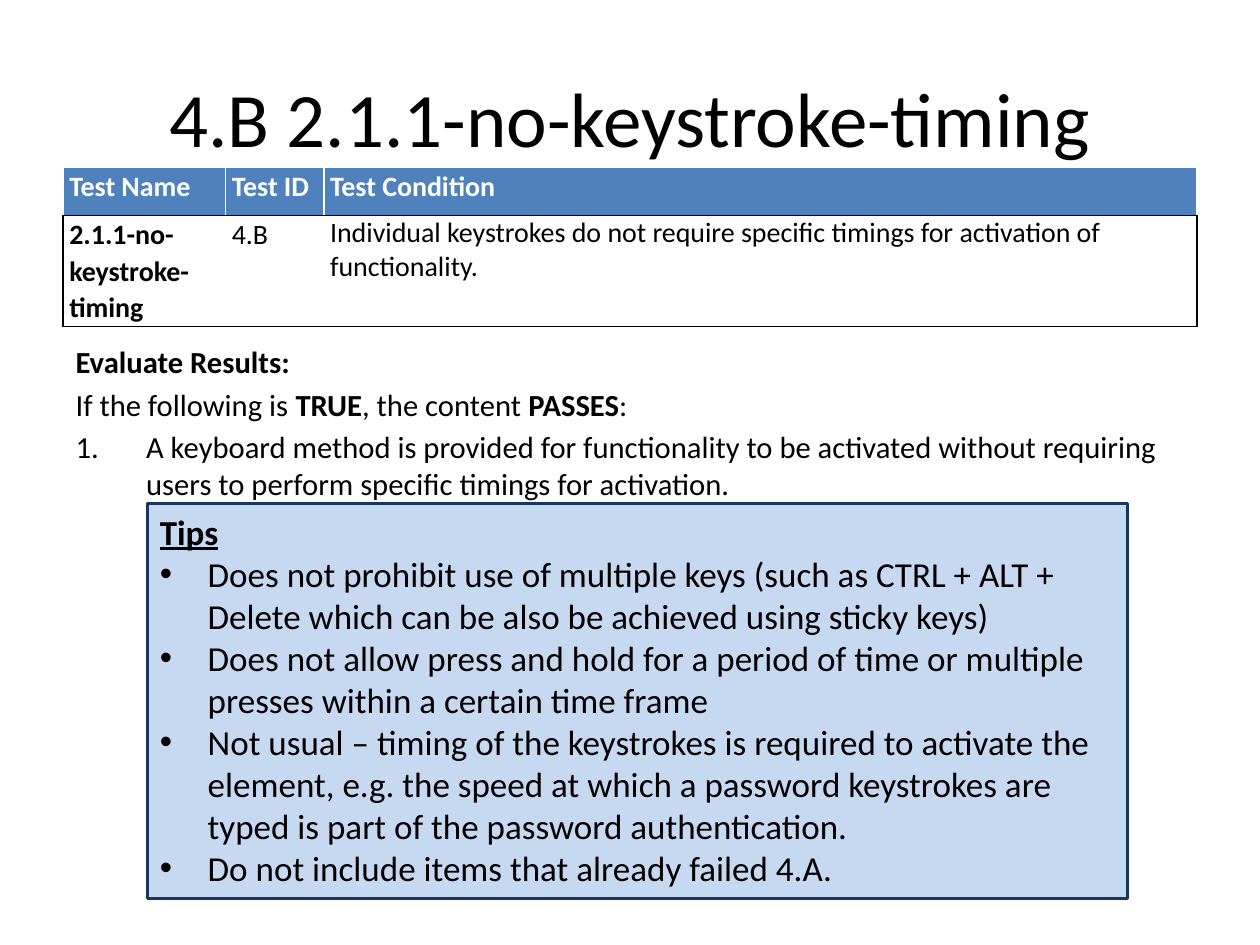
from dataclasses import dataclass

from lxml.etree import SubElement
from pptx import Presentation
from pptx.dml.color import RGBColor
from pptx.enum.shapes import MSO_SHAPE
from pptx.enum.text import MSO_ANCHOR, MSO_AUTO_SIZE, PP_ALIGN
from pptx.oxml.ns import qn
from pptx.util import Inches, Pt

BLACK = RGBColor(0, 0, 0)
WHITE = RGBColor(255, 255, 255)
HEADER_BLUE = RGBColor(0x4F, 0x81, 0xBD)
TIP_FILL = RGBColor(0xC6, 0xD9, 0xF1)
TIP_LINE = RGBColor(0x17, 0x37, 0x5E)
FONT = "Calibri"


@dataclass
class Run:
    text: str
    bold: bool = False
    underline: bool = False


@dataclass
class Cell:
    run: Run
    color: RGBColor
    fill: RGBColor | None
    borders: tuple[RGBColor, ...]  # left, right, top, bottom
    spacing: float | None = 1.07


def add_runs(p, runs: list[Run], size: float, color: RGBColor = BLACK) -> None:
    for run in runs:
        r = p.add_run()
        r.text = run.text
        r.font.name = FONT
        r.font.size = Pt(size)
        r.font.bold = run.bold
        r.font.underline = run.underline
        r.font.color.rgb = color


def next_paragraph(tf, index: int):
    return tf.add_paragraph() if index else tf.paragraphs[0]


def set_bullet(p, indent: float, tag: str, **attrs: str) -> None:
    """Give a paragraph a hanging indent and a bullet element."""
    pPr = p._p.get_or_add_pPr()
    pPr.set("marL", str(Inches(indent)))
    pPr.set("indent", str(-Inches(indent)))
    if tag == "a:buChar":
        SubElement(pPr, qn("a:buFont"), typeface="Arial")
    SubElement(pPr, qn(tag), **attrs)


def place(sp, left: float, top: float, width: float, height: float) -> None:
    sp.left, sp.top = Inches(left), Inches(top)
    sp.width, sp.height = Inches(width), Inches(height)


def fill_cell(cell, data: Cell) -> None:
    cell.margin_left = cell.margin_right = Inches(0.05)
    cell.margin_top = cell.margin_bottom = 0
    tcPr = cell._tc.get_or_add_tcPr()
    for side, color in zip("LRTB", data.borders):
        ln = SubElement(tcPr, qn(f"a:ln{side}"), w=str(Pt(1)))
        SubElement(SubElement(ln, qn("a:solidFill")), qn("a:srgbClr"), val=str(color))
    if data.fill is None:
        cell.fill.background()
    else:
        cell.fill.solid()
        cell.fill.fore_color.rgb = data.fill
    p = cell.text_frame.paragraphs[0]
    p.line_spacing = data.spacing
    add_runs(p, [data.run], 16, data.color)


def add_title(s) -> None:
    sp = s.shapes.title
    place(sp, 0.5, 0.3, 9, 1.25)
    tf = sp.text_frame
    tf.auto_size = MSO_AUTO_SIZE.NONE
    tf.vertical_anchor = MSO_ANCHOR.MIDDLE
    p = tf.paragraphs[0]
    p.alignment = PP_ALIGN.CENTER
    add_runs(p, [Run("4.B 2.1.1-no-keystroke-timing")], 44)


def add_test_table(s) -> None:
    header_borders = (WHITE, WHITE, WHITE, BLACK)
    rows = [
        [Cell(Run(text, bold=True), WHITE, HEADER_BLUE, header_borders)
         for text in ("Test Name", "Test ID", "Test Condition")],
        [
            Cell(Run("2.1.1-no-keystroke-timing", bold=True), BLACK, None,
                 (BLACK, WHITE, BLACK, BLACK)),
            Cell(Run("4.B"), BLACK, None, (WHITE, WHITE, BLACK, BLACK)),
            Cell(Run("Individual keystrokes do not require specific timings "
                     "for activation of functionality."), BLACK, None,
                 (WHITE, BLACK, BLACK, BLACK), spacing=None),
        ],
    ]
    table = s.shapes.add_table(2, 3, Inches(0.5), Inches(1.33),
                               Inches(9), Inches(1.26)).table
    for column, width in zip(table.columns, (1.29, 0.78, 6.93)):
        column.width = Inches(width)
    for row, height, cells in zip(table.rows, (0.38, 0.88), rows):
        row.height = Inches(height)
        for cell, data in zip(row.cells, cells):
            fill_cell(cell, data)


def add_evaluation(s) -> None:
    sp = s.placeholders[1]
    place(sp, 0.5, 2.67, 9.08, 1.25)
    tf = sp.text_frame
    tf.auto_size = MSO_AUTO_SIZE.NONE
    paragraphs = [
        [Run("Evaluate Results:", bold=True)],
        [Run("If the following is "), Run("TRUE", bold=True),
         Run(", the content "), Run("PASSES", bold=True), Run(":")],
        [Run("A keyboard method is provided for functionality to be activated "
             "without requiring users to perform specific timings for activation.")],
    ]
    for i, runs in enumerate(paragraphs):
        p = next_paragraph(tf, i)
        add_runs(p, runs, 17.5)
        if runs is paragraphs[-1]:
            set_bullet(p, 0.56, "a:buAutoNum", type="arabicPeriod")
        else:
            set_bullet(p, 0, "a:buNone")


def add_tips(s) -> None:
    sp = s.shapes.add_shape(MSO_SHAPE.RECTANGLE, Inches(1.17), Inches(4),
                            Inches(7.78), Inches(3.13))
    sp.shadow.inherit = False
    sp.fill.solid()
    sp.fill.fore_color.rgb = TIP_FILL
    sp.line.color.rgb = TIP_LINE
    sp.line.width = Pt(1.75)
    tf = sp.text_frame
    tf.word_wrap = True
    tf.auto_size = MSO_AUTO_SIZE.SHAPE_TO_FIT_TEXT
    tf.vertical_anchor = MSO_ANCHOR.TOP
    tips = [
        "Does not prohibit use of multiple keys (such as CTRL + ALT + Delete "
        "which can be also be achieved using sticky keys)",
        "Does not allow press and hold for a period of time or multiple presses "
        "within a certain time frame",
        "Not usual – timing of the keystrokes is required to activate the element, "
        "e.g. the speed at which a password keystrokes are typed is part of the "
        "password authentication.",
        "Do not include items that already failed 4.A.",
    ]
    heading = tf.paragraphs[0]
    heading.alignment = PP_ALIGN.LEFT
    heading.space_before = Pt(12)
    add_runs(heading, [Run("Tips", bold=True, underline=True)], 20)
    for tip in tips:
        p = tf.add_paragraph()
        p.alignment = PP_ALIGN.LEFT
        set_bullet(p, 0.38, "a:buChar", char="•")
        add_runs(p, [Run(tip)], 20)


def main() -> None:
    prs = Presentation()
    prs.slide_width, prs.slide_height = Inches(10), Inches(7.5)
    s = prs.slides.add_slide(prs.slide_layouts[1])
    add_title(s)
    add_test_table(s)
    add_evaluation(s)
    add_tips(s)
    prs.save("out.pptx")


if __name__ == "__main__":
    main()
